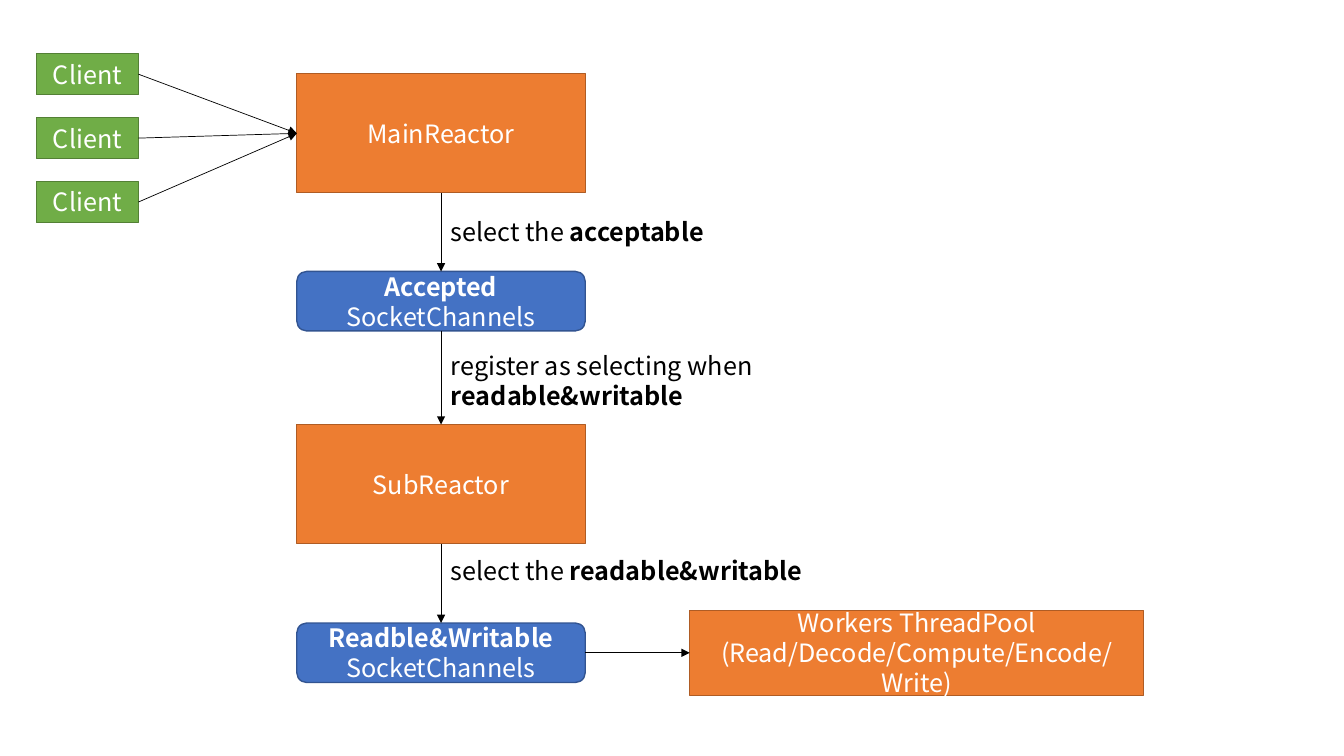
from dataclasses import dataclass

from lxml import etree
from pptx import Presentation
from pptx.dml.color import RGBColor
from pptx.enum.shapes import MSO_CONNECTOR, MSO_SHAPE
from pptx.enum.text import MSO_ANCHOR, PP_ALIGN
from pptx.oxml.ns import qn
from pptx.shapes.autoshape import Shape
from pptx.util import Cm, Pt

RECTANGLE, ROUNDED = MSO_SHAPE.RECTANGLE, MSO_SHAPE.ROUNDED_RECTANGLE
STRAIGHT = MSO_CONNECTOR.STRAIGHT
CENTER, LEFT = PP_ALIGN.CENTER, PP_ALIGN.LEFT
MIDDLE, TOP_ANCHOR = MSO_ANCHOR.MIDDLE, MSO_ANCHOR.TOP
TOP_SITE, LEFT_SITE, BOTTOM_SITE, RIGHT_SITE = range(4)

COLORS = {
    "reactor": "ED7D31", "reactor_line": "AF5C24",
    "client": "70AD47", "client_line": "538035",
    "channels": "4472C4", "channels_line": "325491",
    "white": "FFFFFF", "black": "000000",
}
FONT = {"name": "Noto Sans CJK SC", "size": Pt(18)}
LINE_SPACING = Pt(21.4)

# Each paragraph is a list of (words, bold) runs
Paragraphs = list[list[tuple[str, bool]]]


@dataclass
class Box:
    kind: str
    left: float
    top: float
    width: float
    height: float
    text: Paragraphs


@dataclass
class Label:
    top: float
    width: float
    height: float
    text: Paragraphs


def color(name: str) -> RGBColor:
    return RGBColor.from_string(COLORS[name])


def write_text(shape: Shape, text: Paragraphs, ink: str,
               alignment: PP_ALIGN, anchor: MSO_ANCHOR) -> None:
    frame = shape.text_frame
    frame.word_wrap = True
    frame.vertical_anchor = anchor
    for index, runs in enumerate(text):
        paragraph = frame.add_paragraph() if index else frame.paragraphs[0]
        paragraph.alignment = alignment
        paragraph.line_spacing = LINE_SPACING
        for words, bold in runs:
            run = paragraph.add_run()
            run.text = words
            run.font.color.rgb = color(ink)
            for attribute, value in (FONT | {"bold": bold}).items():
                setattr(run.font, attribute, value)


def add_box(box: Box) -> Shape:
    preset = ROUNDED if box.kind == "channels" else RECTANGLE
    shape = slide.shapes.add_shape(
        preset, Cm(box.left), Cm(box.top), Cm(box.width), Cm(box.height))
    shape.shadow.inherit = False
    shape.fill.solid()
    shape.fill.fore_color.rgb = color(box.kind)
    shape.line.color.rgb = color(box.kind + "_line")
    shape.line.width = Pt(1)
    write_text(shape, box.text, "white", CENTER, MIDDLE)
    return shape


def add_label(label: Label) -> None:
    shape = slide.shapes.add_textbox(
        Cm(COLUMN_CENTER), Cm(label.top), Cm(label.width), Cm(label.height))
    write_text(shape, label.text, "black", LEFT, TOP_ANCHOR)


def add_arrow(start: Shape, start_site: int, end: Shape, end_site: int) -> None:
    arrow = slide.shapes.add_connector(STRAIGHT, 0, 0, 0, 0)
    arrow.begin_connect(start, start_site)
    arrow.end_connect(end, end_site)
    arrow.line.color.rgb = color("black")
    arrow.line.width = Pt(0.5)
    etree.SubElement(arrow.line._get_or_add_ln(), qn("a:tailEnd"), type="triangle")
    etree.SubElement(arrow._element.spPr, qn("a:effectLst"))


presentation = Presentation()
presentation.slide_width, presentation.slide_height = Cm(33.87), Cm(19.05)
slide = presentation.slides.add_slide(presentation.slide_layouts[6])

# Main column, from top to bottom
COLUMN_LEFT, COLUMN_WIDTH = 7.48, 7.27
COLUMN_CENTER = COLUMN_LEFT + COLUMN_WIDTH / 2
STAGES = [
    ("reactor", 1.86, 3, [("MainReactor", False)]),
    ("channels", 6.84, 1.5, [("Accepted ", True), ("SocketChannels", False)]),
    ("reactor", 10.7, 3, [("SubReactor", False)]),
    ("channels", 15.7, 1.5, [("Readble&Writable ", True), ("SocketChannels", False)]),
]
stages = [add_box(Box(kind, COLUMN_LEFT, top, COLUMN_WIDTH, height, [runs]))
          for kind, top, height, runs in STAGES]
for upper, lower in zip(stages, stages[1:]):
    add_arrow(upper, BOTTOM_SITE, lower, TOP_SITE)

# Clients
CLIENT_COUNT, CLIENT_TOP, CLIENT_PITCH = 3, 1.35, 1.61
for index in range(CLIENT_COUNT):
    client = add_box(Box("client", 0.92, CLIENT_TOP + index * CLIENT_PITCH,
                         2.57, 1.04, [[("Client", False)]]))
    add_arrow(client, RIGHT_SITE, stages[0], LEFT_SITE)

# Worker pool
workers = add_box(Box("reactor", 17.38, 15.38, 11.44, 2.14, [
    [("Workers ThreadPool", False)],
    [("(Read/Decode/Compute/Encode/Write)", False)],
]))
add_arrow(stages[-1], RIGHT_SITE, workers, LEFT_SITE)

# Labels beside the downward arrows
for label in (
    Label(5.33, 8.33, 1.02, [[("select the ", False), ("acceptable", True)]]),
    Label(8.71, 10.72, 1.8, [[("register as selecting when ", False),
                              ("readable&writable", True)]]),
    Label(13.88, 9.53, 1.02, [[("select the ", False), ("readable&writable", True)]]),
):
    add_label(label)

presentation.save("out.pptx")
